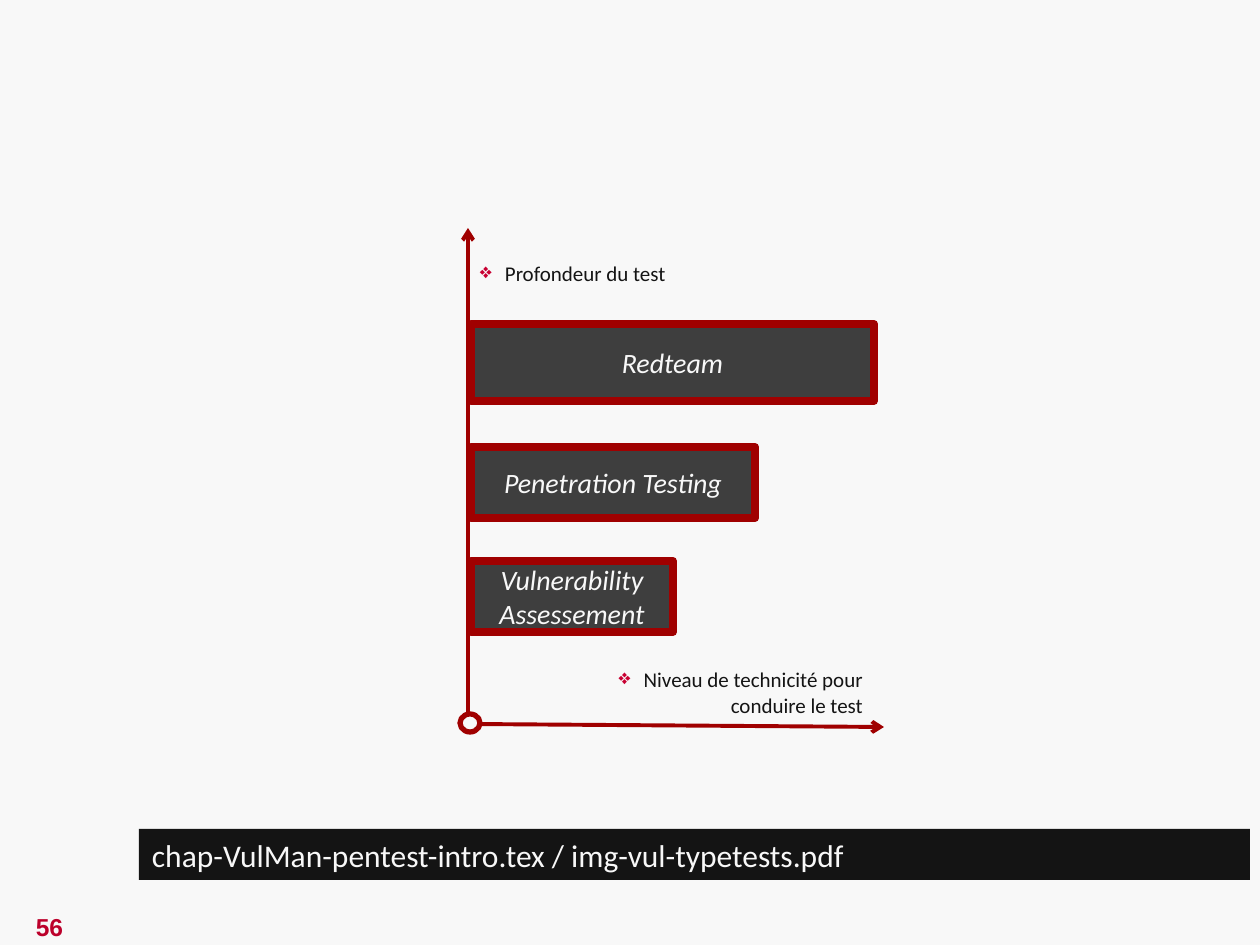
from lxml import etree
from pptx import Presentation
from pptx.dml.color import RGBColor
from pptx.enum import shapes, text
from pptx.oxml import ns
from pptx.util import Pt

COLORS = {"paper": "F8F8F8", "ink": "141414", "bar": "3E3E3E", "red": "A00000",
          "bullet": "C80032", "number": "BC002B"}
EMU_PER_PX = 914400 / 126
BARS = [("Redteam", 96, 403, 77), ("Penetration Testing", 219, 284, 71),
        ("Vulnerability Assessement", 333, 202, 71)]


def px(n):
    """Turn pixels into EMU."""
    return round(n * EMU_PER_PX)


def rgb(name):
    """Look up a named colour."""
    return RGBColor.from_string(COLORS[name])


def write(sp, words, size, color, align, inset=(13, 6), font="Calibri", bold=False,
          italic=False, anchor=text.MSO_ANCHOR.MIDDLE):
    """Fill a shape with one formatted paragraph."""
    tf = sp.text_frame
    tf.word_wrap = True
    tf.vertical_anchor = anchor
    tf.margin_left = tf.margin_right = px(inset[0])
    tf.margin_top = tf.margin_bottom = px(inset[1])
    p = tf.paragraphs[0]
    p.text = words
    p.alignment = align
    for r in p.runs:
        r.font.name, r.font.size = font, Pt(size)
        r.font.bold, r.font.italic = bold, italic
        r.font.color.rgb = rgb(color)
    return p


def add_box(s, kind, box, fill, line_width=0):
    """Add a flat shape with an optional red outline."""
    sp = s.shapes.add_shape(kind, *map(px, box))
    sp.shadow.inherit = False
    sp.fill.solid()
    sp.fill.fore_color.rgb = rgb(fill)
    if line_width:
        sp.line.color.rgb = rgb("red")
        sp.line.width = Pt(line_width)
    else:
        sp.line.fill.background()
    return sp


def add_axis(s, x1, y1, x2, y2):
    """Add a red axis ending in an arrowhead."""
    c = s.shapes.add_connector(shapes.MSO_CONNECTOR.STRAIGHT, *map(px, (x1, y1, x2, y2)))
    c.line.color.rgb = rgb("red")
    c.line.width = Pt(2.25)
    etree.SubElement(c.line._get_or_add_ln(), ns.qn("a:tailEnd"), type="arrow")
    etree.SubElement(c._element.spPr, ns.qn("a:effectLst"))


def add_axis_label(s, box, words, align):
    """Add an axis caption with a diamond bullet."""
    sp = s.shapes.add_textbox(*map(px, box))
    p = write(sp, words, 12, "ink", align, (9, 5), anchor=text.MSO_ANCHOR.TOP)
    pPr = p._p.get_or_add_pPr()
    pPr.set("marL", str(px(25)))
    pPr.set("indent", str(px(-25)))
    color = etree.SubElement(pPr, ns.qn("a:buClr"))
    etree.SubElement(color, ns.qn("a:srgbClr"), val=COLORS["bullet"])
    etree.SubElement(pPr, ns.qn("a:buChar"), char="❖")


def add_test_chart(s, x, y, w, h):
    """Draw the test types between the depth and skill axes."""
    add_axis(s, x, y + h - 3, x + w, y + h)
    add_axis(s, x + 1, y + h - 3, x + 1, y)
    for name, top, width, height in BARS:
        sp = add_box(s, shapes.MSO_SHAPE.ROUNDED_RECTANGLE,
                     (x + 4, y + top, width, height), "bar", 4.5)
        sp.adjustments[0] = 0
        write(sp, name, 16, "paper", text.PP_ALIGN.CENTER, italic=True)
    add_axis_label(s, (x + 4, y + 28, 354, 37), "Profondeur du test", text.PP_ALIGN.LEFT)
    add_axis_label(s, (x + 51, y + h - 65, 354, 67),
                   "Niveau de technicité pour\vconduire le test", text.PP_ALIGN.RIGHT)
    add_box(s, shapes.MSO_SHAPE.OVAL, (x - 7, y + h - 13, 20, 18), "paper", 3)


def add_source_bar(s, *box):
    """Add the dark strip naming the source files."""
    sp = add_box(s, shapes.MSO_SHAPE.RECTANGLE, box, "ink")
    write(sp, "chap-VulMan-pentest-intro.tex / img-vul-typetests.pdf", 18, "paper",
          text.PP_ALIGN.LEFT)


def add_page_number(s, *box):
    """Add the page number."""
    sp = s.shapes.add_textbox(*map(px, box))
    write(sp, "56", 14, "number", text.PP_ALIGN.CENTER, font="Arial", bold=True)


def main():
    """Build and save the slide."""
    prs = Presentation()
    prs.slide_width, prs.slide_height = px(1260), px(945)
    s = prs.slides.add_slide(prs.slide_layouts[6])
    s.background.fill.solid()
    s.background.fill.fore_color.rgb = rgb("paper")
    add_page_number(s, -3, 905, 105, 43)
    add_test_chart(s, 467, 228, 417, 499)
    add_source_bar(s, 139, 829, 1111, 51)
    prs.save("out.pptx")


if __name__ == "__main__":
    main()
